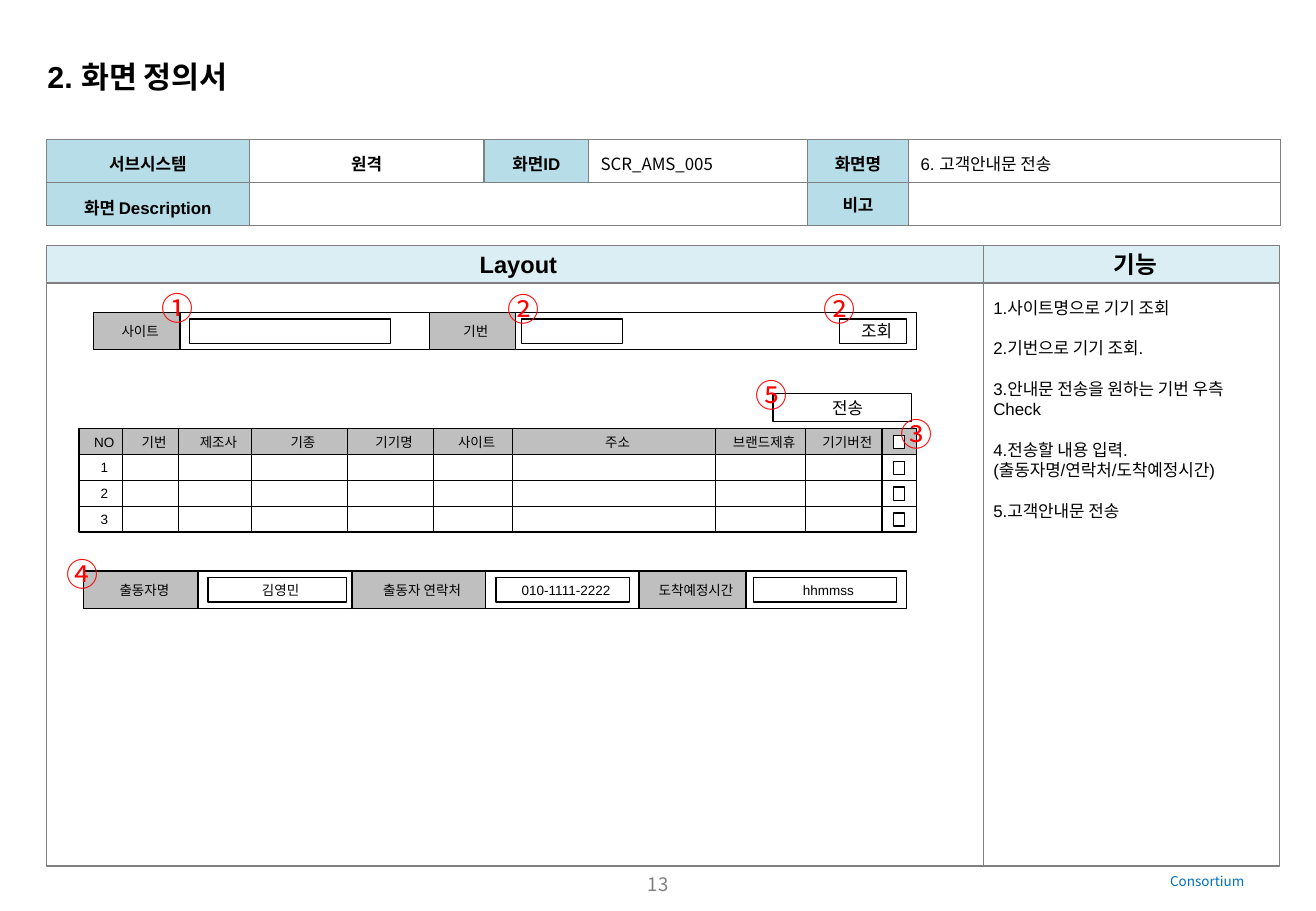
from dataclasses import dataclass
from itertools import accumulate

from lxml import etree
from pptx import Presentation
from pptx.dml.color import RGBColor
from pptx.enum.shapes import MSO_SHAPE
from pptx.enum.text import MSO_ANCHOR, MSO_AUTO_SIZE, PP_ALIGN
from pptx.oxml.ns import qn
from pptx.util import Inches, Pt

RECTANGLE = MSO_SHAPE.RECTANGLE
LEFT, CENTER = PP_ALIGN.LEFT, PP_ALIGN.CENTER
TOP, MIDDLE = MSO_ANCHOR.TOP, MSO_ANCHOR.MIDDLE
NO_FIT = MSO_AUTO_SIZE.NONE
TITLE_ONLY = 5

COLORS = {
    "black": "000000", "white": "FFFFFF", "line": "808080", "label": "BFBFBF",
    "key": "B7DEE8", "heading": "DBEEF4", "marker": "FF0000", "footer": "0070C0",
}
LATIN, KOREAN = "Arial", "Noto Sans CJK KR"
PLAIN_INSETS = (0.1, 0.05, 0.1, 0.05)
LABEL_INSETS = (0.1, 0.02, 0.04, 0.02)


@dataclass
class Box:
    left: float
    top: float
    width: float
    height: float

    def share(self, left, top, width, height):
        return Box(self.left + self.width * left / 100, self.top + self.height * top / 100,
                   self.width * width / 100, self.height * height / 100)

    def inches(self):
        return [Inches(length) for length in (self.left, self.top, self.width, self.height)]


def color(name):
    return RGBColor.from_string(COLORS[name])


def write(frame, text, size=10, font=LATIN, ink="black", bold=False, align=LEFT,
          anchor=MIDDLE, insets=PLAIN_INSETS, wrap=False, gap=0, spacing=1.0):
    frame.auto_size = NO_FIT
    frame.word_wrap = wrap
    frame.vertical_anchor = anchor
    (frame.margin_left, frame.margin_top,
     frame.margin_right, frame.margin_bottom) = map(Inches, insets)
    for index, line in enumerate(text.split("\n")):
        para = frame.add_paragraph() if index else frame.paragraphs[0]
        para.alignment = align
        para.line_spacing = spacing
        para.space_before, para.space_after = Pt(0), Pt(gap)
        span = para.add_run()
        span.text = line
        span.font.size = Pt(size)
        span.font.bold = bold
        span.font.color.rgb = color(ink)
        span.font.name = font
        etree.SubElement(span.font._element, qn("a:ea"), typeface=KOREAN)


def add_text(page, box, text, **style):
    write(page.shapes.add_textbox(*box.inches()).text_frame, text, **style)


def add_box(page, box, text="", fill="white", line="black", **style):
    shape = page.shapes.add_shape(RECTANGLE, *box.inches())
    shape.shadow.inherit = False
    if fill:
        shape.fill.solid()
        shape.fill.fore_color.rgb = color(fill)
    else:
        shape.fill.background()
    shape.line.color.rgb = color(line)
    shape.line.width = Pt(0.75)
    if text:
        write(shape.text_frame, text,
              **{"size": 8, "align": CENTER, "insets": LABEL_INSETS, **style})


def add_title(page, box, text):
    title = page.shapes.title
    title.left, title.top, title.width, title.height = box.inches()
    write(title.text_frame, text, size=18, bold=True)


def border_cell(cell):
    properties = cell._tc.get_or_add_tcPr()
    for index, side in enumerate(("a:lnL", "a:lnR", "a:lnT", "a:lnB")):
        edge = etree.Element(qn(side), w=str(Pt(0.75)))
        fill = etree.SubElement(edge, qn("a:solidFill"))
        etree.SubElement(fill, qn("a:srgbClr"), val=COLORS["line"])
        properties.insert(index, edge)


def add_info_table(page, box):
    key = {"fill": "key", "bold": True, "align": CENTER, "spacing": 1.2}
    value = {"fill": "white", "spacing": 1.2}
    rows = [
        [("서브시스템", key), ("원격", {**key, "fill": "white"}), ("화면ID", key),
         ("SCR_AMS_005", {**value, "font": KOREAN}), ("화면명", key),
         ("6. 고객안내문 전송", value)],
        [("화면 Description", key), ("", value), ("", value), ("", value),
         ("비고", {**key, "spacing": 1.0}), ("", value)],
    ]
    widths = [1.67, 1.93, 0.86, 1.8, 0.83, 3.06]
    table = page.shapes.add_table(len(rows), len(widths), *box.inches()).table
    for column, width in zip(table.columns, widths):
        column.width = Inches(box.width * width / sum(widths))
    for row_index, row in enumerate(rows):
        for column_index, (text, style) in enumerate(row):
            cell = table.cell(row_index, column_index)
            cell.fill.solid()
            cell.fill.fore_color.rgb = color(style["fill"])
            border_cell(cell)
            cell.margin_top = cell.margin_bottom = 0
            if text:
                options = {name: item for name, item in style.items() if name != "fill"}
                write(cell.text_frame, text, wrap=True, **options)
                cell.vertical_anchor = MIDDLE
    table.cell(1, 1).merge(table.cell(1, 3))


def add_panel(page, box, heading, text=""):
    header = 6.07
    add_box(page, box.share(0, header, 100, 100 - header), text, fill=None, line="line",
            size=10, align=LEFT, anchor=TOP, wrap=True, gap=12,
            insets=(0.08, 0.12, 0.08, 0.08))
    add_box(page, box.share(0, 0, 100, header), heading, fill="heading", line="line",
            size=14, bold=True)


def add_field_bar(page, box, labels, inputs):
    add_box(page, box)
    for text, left, width in labels:
        add_box(page, box.share(left, 0, width, 100), text, fill="label")
    for text, left, width, size in inputs:
        add_box(page, box.share(left, 18, width, 65), text, size=size)


def add_device_grid(page, box):
    columns = [("NO", 0.36), ("기번", 0.46), ("제조사", 0.6), ("기종", 0.79), ("기기명", 0.71),
               ("사이트", 0.65), ("주소", 1.67), ("브랜드제휴", 0.74), ("기기버전", 0.63), ("", 0.28)]
    widths = [width for _, width in columns]
    lefts = [0, *accumulate(widths)]
    unit = 100 / sum(widths)
    row_height = 25
    for row in range(4):
        for index, (heading, width) in enumerate(columns):
            cell = box.share(lefts[index] * unit, row * row_height, width * unit, row_height)
            number = str(row) if index == 0 else ""
            add_box(page, cell, number if row else heading, fill="white" if row else "label")
        add_box(page, cell.share(33, 26, 33, 51))


def add_markers(page, area):
    for text, left, top in [("①", 11.36, 30.93), ("②", 37.67, 31.07), ("②", 61.68, 31.07),
                            ("③", 67.5, 44.8), ("④", 4.16, 60.13), ("⑤", 56.51, 40.53)]:
        add_text(page, area.share(left, top, 4.34, 5.6), text, size=19, font=KOREAN, ink="marker")


def add_mockup(page, area):
    add_field_bar(page, area.share(7.11, 34.27, 62.51, 4.13),
                  [("사이트", 0, 10.5), ("기번", 40.8, 10.5)],
                  [("", 11.7, 24.4, 8), ("", 52, 12.3, 8), ("조회", 90.7, 8.1, 10)])
    add_box(page, area.share(58.73, 43.2, 10.53, 3.07), " 전송", size=10)
    add_device_grid(page, area.share(6, 47.07, 63.62, 11.33))
    add_field_bar(page, area.share(6.37, 62.67, 62.51, 4.13),
                  [("출동자명", 0, 13.9), ("출동자 연락처", 32.6, 16.2), ("도착예정시간", 67.5, 13)],
                  [("김영민", 15.1, 16.8, 8), ("010-1111-2222", 50.1, 16.2, 8),
                   ("hhmmss", 81.4, 17.4, 8)])
    add_markers(page, area)


def add_footer(page, area):
    add_text(page, area.share(88, 95.07, 9.42, 3.2), "Consortium", size=8, font=KOREAN,
             ink="footer")
    add_text(page, area.share(36.57, 95.2, 26.87, 4.27), "13", size=11, font=KOREAN,
             ink="line", align=CENTER, anchor=TOP, wrap=True)


def build_screen_page(deck, area):
    page = deck.slides.add_slide(deck.slide_layouts[TITLE_ONLY])
    add_footer(page, area)
    add_title(page, area.share(2.68, 5.73, 19.76, 5.33), "2. 화면 정의서")
    add_info_table(page, area.share(3.51, 15.33, 93.81, 9.47))
    panels = area.share(3.51, 26.93, 93.72, 68.13)
    functions = ["1.사이트명으로 기기 조회", "2.기번으로 기기 조회.",
                 "3.안내문 전송을 원하는 기번 우측 Check",
                 "4.전송할 내용 입력.(출동자명/연락처/도착예정시간)", "5.고객안내문 전송"]
    add_panel(page, panels.share(0, 0, 76, 100), "Layout")
    add_panel(page, panels.share(76, 0, 24, 100), "기능", "\n".join(functions))
    add_mockup(page, area)


def main():
    area = Box(0, 0, 10.83, 7.5)
    deck = Presentation()
    deck.slide_width, deck.slide_height = Inches(area.width), Inches(area.height)
    build_screen_page(deck, area)
    deck.save("out.pptx")


if __name__ == "__main__":
    main()
